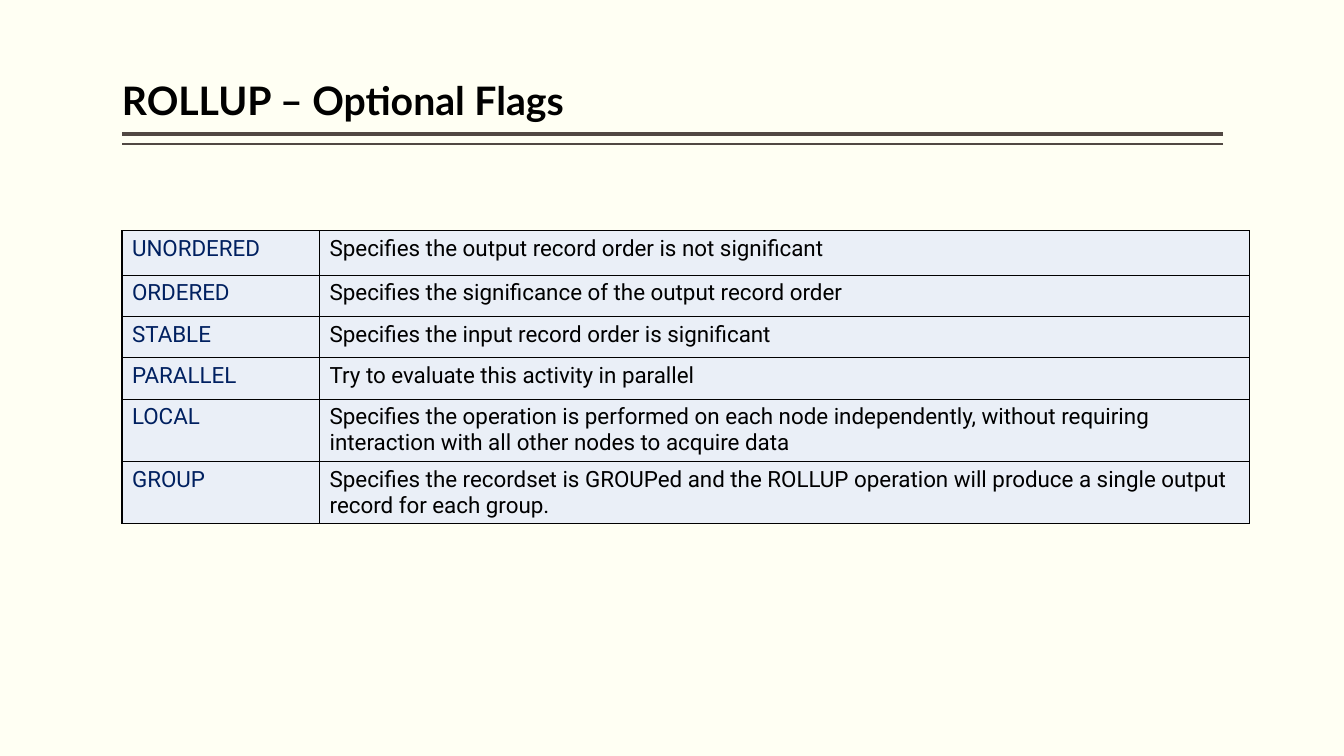
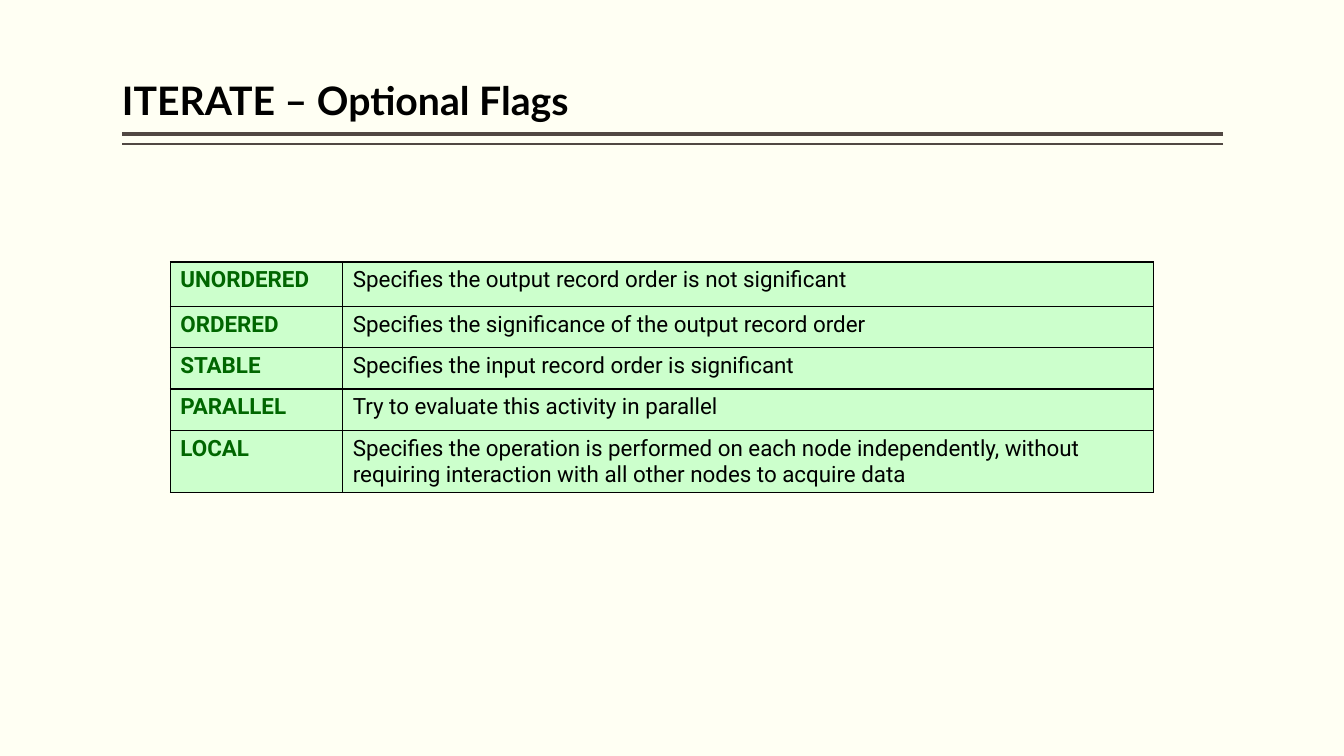
"""Build two slides that list the optional flags of ROLLUP and ITERATE."""
from lxml import etree
from pptx import Presentation
from pptx.dml.color import RGBColor
from pptx.enum.shapes import MSO_CONNECTOR
from pptx.enum.text import MSO_ANCHOR, MSO_AUTO_SIZE, PP_ALIGN
from pptx.oxml.ns import qn
from pptx.util import Pt

PX = 9144
LINE = MSO_CONNECTOR.STRAIGHT
BOTTOM, LEFT, FIXED = MSO_ANCHOR.BOTTOM, PP_ALIGN.LEFT, MSO_AUTO_SIZE.NONE
HUES = {"page": "FFFFF3", "rule": "514843", "text": "000000", "navy": "002060",
        "ice": "EAEFF7", "green": "006600", "mint": "CCFFCC"}
RULES = [(133, 3), (143, 1)]
FRAME = {"margin_left": 0, "margin_right": 0, "margin_top": 5 * PX, "margin_bottom": 5 * PX,
         "vertical_anchor": BOTTOM, "auto_size": FIXED, "word_wrap": True}
FLAGS = [
    ("UNORDERED", "Specifies the output record order is not significant"),
    ("ORDERED", "Specifies the significance of the output record order"),
    ("STABLE", "Specifies the input record order is significant"),
    ("PARALLEL", "Try to evaluate this activity in parallel"),
    ("LOCAL", "Specifies the operation is performed on each node independently, "
              "without requiring interaction with all other nodes to acquire data"),
]
GROUP = ("GROUP", "Specifies the recordset is GROUPed and the ROLLUP operation will "
                  "produce a single output record for each group.")
PAGES = [
    {"title": "ROLLUP – Optional Flags", "rows": FLAGS + [GROUP], "at": (121, 229),
     "cols": (196, 922), "fill": "ice", "key": "navy", "bold": False},
    {"title": "ITERATE – Optional Flags", "rows": FLAGS, "at": (169, 260),
     "cols": (171, 804), "fill": "mint", "key": "green", "bold": True},
]


def style(para, text, face, size, hue, bold):
    run = para.add_run()
    run.text = text
    for name, value in {"name": face, "size": Pt(size), "bold": bold}.items():
        setattr(run.font, name, value)
    run.font.color.rgb = RGBColor.from_string(HUES[hue])


def edge(cell):
    props = cell._tc.get_or_add_tcPr()
    for spot, side in enumerate(("lnL", "lnR", "lnT", "lnB")):
        line = etree.Element(qn(f"a:{side}"), w=str(Pt(1)))
        fill = etree.SubElement(line, qn("a:solidFill"))
        etree.SubElement(fill, qn("a:srgbClr"), val=HUES["text"])
        props.insert(spot, line)


prs = Presentation()
prs.slide_width, prs.slide_height = 1333 * PX, 750 * PX
back = prs.slide_master.background.fill
back.solid()
back.fore_color.rgb = RGBColor.from_string(HUES["page"])

for page in PAGES:
    slide = prs.slides.add_slide(prs.slide_layouts[5])

    for y, width in RULES:
        rule = slide.shapes.add_connector(LINE, 1213 * PX, y * PX, 121 * PX, y * PX)
        rule.line.width = Pt(width)
        rule.line.color.rgb = RGBColor.from_string(HUES["rule"])
        etree.SubElement(rule._element.spPr, qn("a:effectLst"))

    title = slide.shapes.title
    title.left, title.top, title.width, title.height = 121 * PX, 8 * PX, 1092 * PX, 120 * PX
    for name, value in FRAME.items():
        setattr(title.text_frame, name, value)
    para = title.text_frame.paragraphs[0]
    para.alignment, para.line_spacing = LEFT, 0.9
    style(para, page["title"], "Lato", 28, "text", True)

    rows, cols = page["rows"], page["cols"]
    x, y = page["at"]
    high = 44 + 41 * (len(rows) - 1)
    table = slide.shapes.add_table(len(rows), len(cols), x * PX, y * PX,
                                   sum(cols) * PX, high * PX).table
    table.first_row = table.horz_banding = False
    for col, width in zip(table.columns, cols):
        col.width = width * PX
    looks = [(page["key"], page["bold"]), ("text", False)]
    for r, texts in enumerate(rows):
        table.rows[r].height = (41 if r else 44) * PX
        for c, (text, (hue, bold)) in enumerate(zip(texts, looks)):
            cell = table.cell(r, c)
            cell.fill.solid()
            cell.fill.fore_color.rgb = RGBColor.from_string(HUES[page["fill"]])
            edge(cell)
            style(cell.text_frame.paragraphs[0], text, "Roboto", 16, hue, bold)

prs.save("out.pptx")
